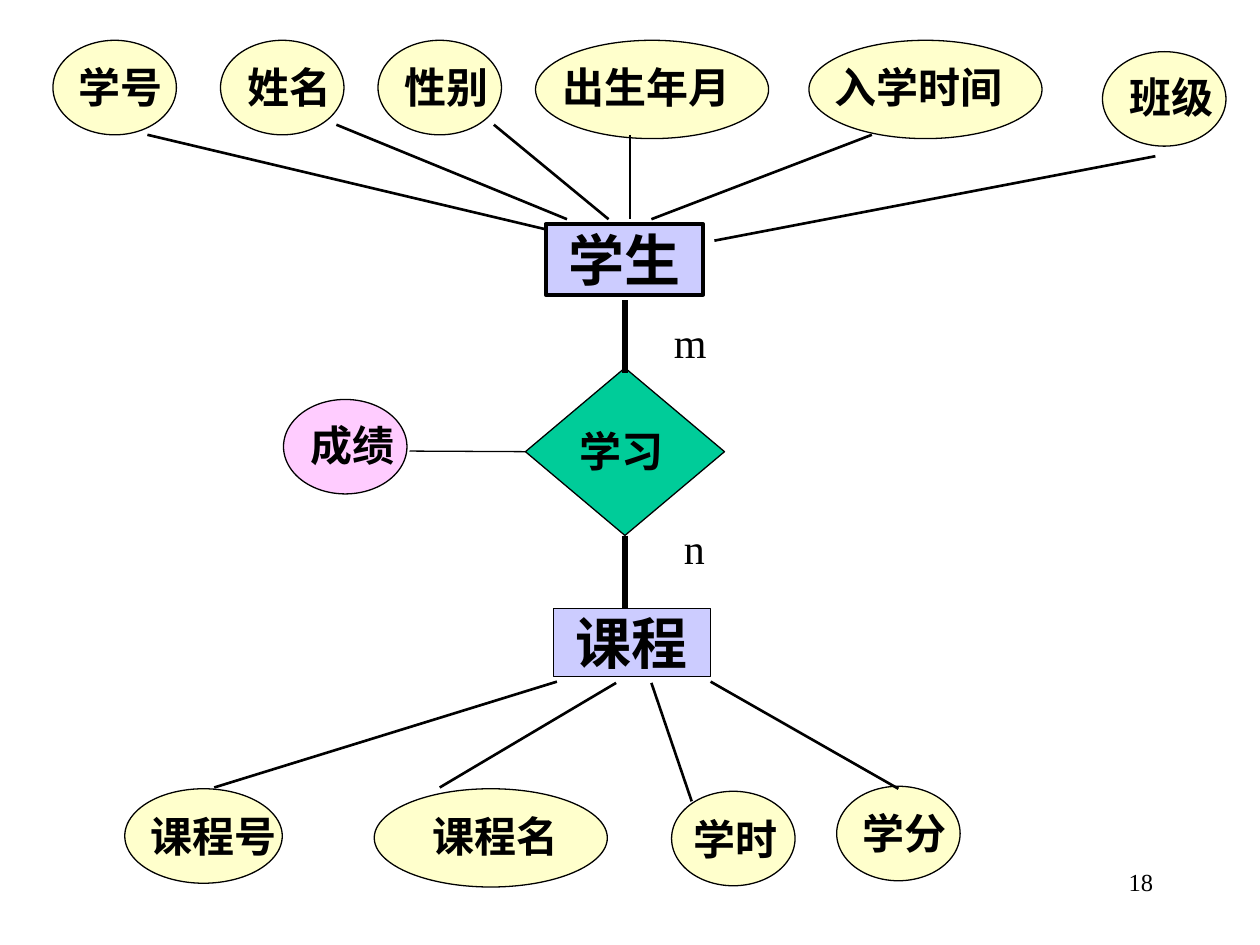
from lxml.etree import SubElement
from pptx import Presentation
from pptx.dml.color import RGBColor
from pptx.enum.shapes import MSO_CONNECTOR, MSO_SHAPE
from pptx.enum.text import MSO_ANCHOR, PP_ALIGN
from pptx.oxml.ns import qn
from pptx.util import Inches, Pt

BLACK = RGBColor(0x00, 0x00, 0x00)
LAVENDER = RGBColor(0xCC, 0xCC, 0xFF)
CREAM = RGBColor(0xFF, 0xFF, 0xCC)
PINK = RGBColor(0xFF, 0xCC, 0xFF)
GREEN = RGBColor(0x00, 0xCC, 0x99)

SMALL, WIDE = (0.98, 0.75), (1.85, 0.78)
PAIR, TRIPLE, QUAD = 0.75, 1.25, 1.42

STUDENT_ATTRIBUTES = [
    ("学号", 0.42, 0.32, SMALL, 0.58, 0.49, PAIR),
    ("姓名", 1.75, 0.32, SMALL, 1.92, 0.49, PAIR),
    ("性别", 3, 0.32, SMALL, 3.17, 0.49, PAIR),
    ("出生年月", 4.25, 0.32, WIDE, 4.42, 0.49, QUAD),
    ("入学时间", 6.42, 0.32, WIDE, 6.58, 0.49, QUAD),
    ("班级", 8.75, 0.41, SMALL, 8.92, 0.57, PAIR),
]
COURSE_ATTRIBUTES = [
    ("课程号", 0.99, 6.26, (1.25, 0.75), 1.07, 6.43, TRIPLE),
    ("课程名", 2.97, 6.26, WIDE, 3.22, 6.43, QUAD),
    ("学时", 5.33, 6.28, SMALL, 5.46, 6.46, PAIR),
    ("学分", 6.64, 6.24, SMALL, 6.8, 6.41, PAIR),
]
ATTRIBUTE_LINES = [
    ((1.17, 1.07), (4.33, 1.82)),
    ((2.67, 0.99), (4.5, 1.74)),
    ((3.92, 0.99), (4.83, 1.74)),
    ((5, 1.07), (5, 1.74)),
    ((6.92, 1.07), (5.17, 1.74)),
    ((9.17, 1.24), (5.67, 1.91)),
    ((4.42, 5.41), (1.7, 6.25)),
    ((4.89, 5.42), (3.49, 6.25)),
    ((5.17, 5.42), (5.49, 6.36)),
    ((5.64, 5.41), (7.13, 6.26)),
]


class Diagram:
    text_format = {"name": "Times New Roman", "size": Pt(24), "bold": True}

    def __init__(self, slide):
        self.shapes = slide.shapes

    def set_text(self, box, text, align=PP_ALIGN.CENTER, anchor=MSO_ANCHOR.MIDDLE,
                 inset=0, **changes):
        frame = box.text_frame
        frame_format = {
            "word_wrap": True, "vertical_anchor": anchor,
            "margin_left": Inches(inset), "margin_right": Inches(inset),
            "margin_top": Inches(inset / 2), "margin_bottom": Inches(inset / 2),
        }
        for key, value in frame_format.items():
            setattr(frame, key, value)
        para = frame.paragraphs[0]
        para.alignment = align
        span = para.add_run()
        span.text = text
        for key, value in {**self.text_format, **changes}.items():
            setattr(span.font, key, value)
        span.font.color.rgb = BLACK

    def shape(self, kind, left, top, size, fill, weight=0.75):
        shape = self.shapes.add_shape(kind, *map(Inches, (left, top, *size)))
        shape.shadow.inherit = False
        shape.fill.solid()
        shape.fill.fore_color.rgb = fill
        shape.line.color.rgb = BLACK
        shape.line.width = Pt(weight)
        return shape

    def label(self, text, left, top, width, height=0.4, **changes):
        box = self.shapes.add_textbox(*map(Inches, (left, top, width, height)))
        self.set_text(box, text, **changes)

    def entity(self, text, left, top, height, weight):
        box = self.shape(MSO_SHAPE.RECTANGLE, left, top, (1.25, height), LAVENDER, weight)
        self.set_text(box, text, size=Pt(32))

    def attribute(self, text, left, top, size, text_left, text_top, text_width, fill=CREAM):
        self.shape(MSO_SHAPE.OVAL, left, top, size, fill)
        self.label(text, text_left, text_top, text_width)

    def line(self, start, end, weight=1.5):
        line = self.shapes.add_connector(
            MSO_CONNECTOR.STRAIGHT, *map(Inches, (*start, *end)))
        line.line.color.rgb = BLACK
        line.line.width = Pt(weight)
        SubElement(line._element.spPr, qn("a:effectLst"))
        return line


def main():
    deck = Presentation()
    deck.slide_width, deck.slide_height = Inches(10), Inches(7.5)
    diagram = Diagram(deck.slides.add_slide(deck.slide_layouts[6]))
    diagram.label("18", 7.17, 6.83, 2.08, 0.5, align=PP_ALIGN.RIGHT,
                  anchor=MSO_ANCHOR.TOP, inset=0.1, size=Pt(14), bold=False)

    diagram.entity("学生", 4.33, 1.78, 0.56, 2.25)
    diagram.entity("课程", 4.39, 4.83, 0.54, 0.75)
    for attribute in STUDENT_ATTRIBUTES + COURSE_ATTRIBUTES:
        diagram.attribute(*attribute)
    for start, end in ATTRIBUTE_LINES:
        diagram.line(start, end)

    diagram.attribute("成绩", 2.25, 3.17, SMALL, 2.42, 3.33, PAIR, PINK)
    relation = diagram.shape(MSO_SHAPE.DIAMOND, 4.17, 2.92, (1.58, 1.33), GREEN)
    diagram.label("学习", 4.5, 3.33, 1, 0.5, align=PP_ALIGN.LEFT, inset=0.1)
    diagram.line((4.17, 3.58), (3.25, 3.58), 0.75).begin_connect(relation, 1)
    diagram.line((4.96, 2.96), (4.96, 2.38), 3)
    diagram.line((4.96, 4.25), (4.96, 4.83), 3).begin_connect(relation, 2)
    for text, left, top in (("m", 5.25, 2.46), ("n", 5.33, 4.1)):
        diagram.label(text, left, top, 0.63, 0.5, align=PP_ALIGN.LEFT,
                      inset=0.1, bold=False)

    deck.save("out.pptx")


if __name__ == "__main__":
    main()
